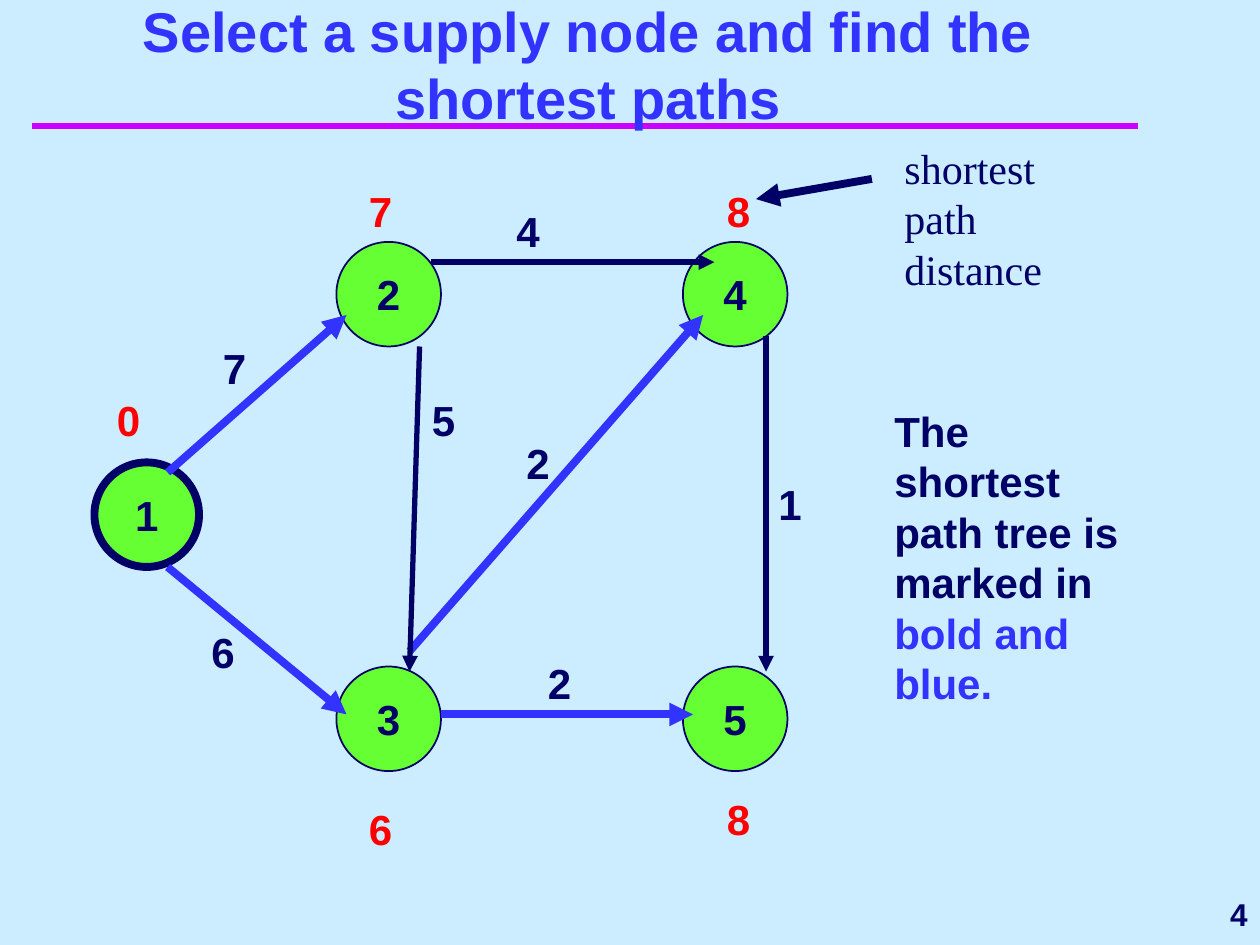
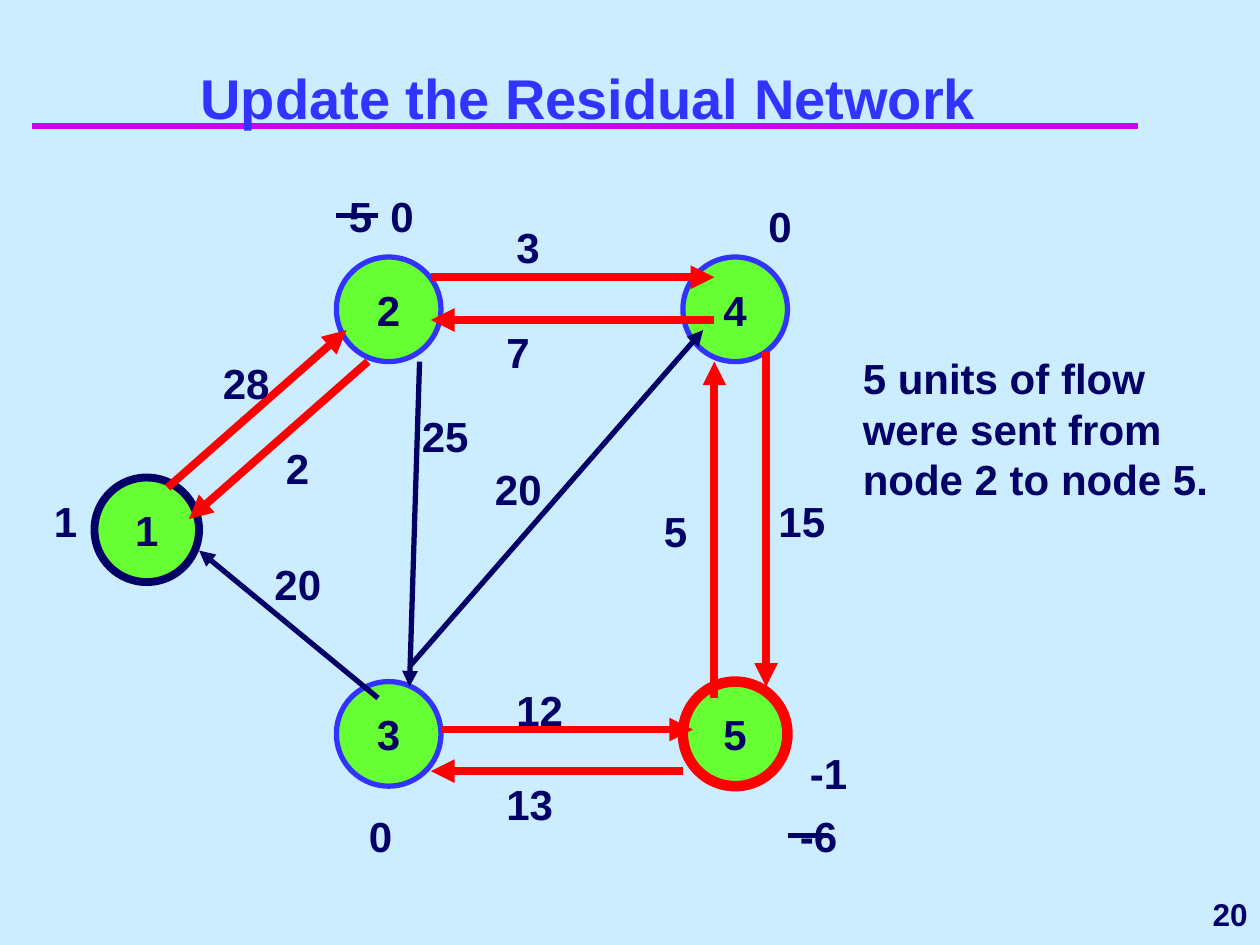
"""Build two slides on shortest paths and residual networks."""
from dataclasses import dataclass

from lxml import etree
from pptx import Presentation
from pptx.dml.color import RGBColor
from pptx.enum.shapes import MSO_CONNECTOR, MSO_SHAPE
from pptx.enum.text import MSO_ANCHOR, MSO_AUTO_SIZE, PP_ALIGN
from pptx.oxml.ns import qn
from pptx.util import Inches, Pt


@dataclass(frozen=True)
class Theme:
    sky: str = "CCECFF"
    navy: str = "000066"
    blue: str = "3333FF"
    red: str = "FF0000"
    green: str = "66FF33"
    magenta: str = "CC00FF"
    sans: str = "Arial"
    serif: str = "Times New Roman"
    title: float = 32
    body: float = 24
    number: float = 18
    thin: float = 1
    medium: float = 3
    rule: float = 4
    bold: float = 4.5
    heavy: float = 6


T = Theme()
NODE_SIZE = 0.83
NODES = {1: (0.75, 3.67), 2: (2.67, 1.92), 3: (2.67, 5.29),
         5: (5.42, 5.29), 4: (5.42, 1.92)}
ARCS = {
    (1, 2): (1.33, 3.75, 2.75, 2.5),
    (2, 4): (3.42, 2.08, 5.67, 2.08),
    (4, 5): (6.08, 2.67, 6.08, 5.33),
    (3, 4): (3.25, 5.17, 5.58, 2.5),
    (1, 3): (1.33, 4.5, 2.75, 5.67),
    (3, 5): (3.5, 5.67, 5.5, 5.67),
    (2, 3): (3.33, 2.75, 3.25, 5.33),
    (3, 1): (3, 5.42, 1.58, 4.25),
    (5, 3): (5.42, 6, 3.42, 6),
    (2, 1): (2.92, 2.75, 1.5, 4),
    (4, 2): (5.67, 2.42, 3.42, 2.42),
    (5, 4): (5.67, 5.42, 5.67, 2.75),
}


def rgb(color):
    return RGBColor.from_string(color)


class Deck:
    def __init__(self):
        self.prs = Presentation()
        self.prs.slide_width, self.prs.slide_height = Inches(10), Inches(7.5)
        fill = self.prs.slide_master.background.fill
        fill.solid()
        fill.fore_color.rgb = rgb(T.sky)
        self.s = None
        self.dy = 0

    def slide(self, title, number, dy=0):
        self.s = self.prs.slides.add_slide(self.prs.slide_layouts[6])
        self.dy = dy
        self.line(0.25, 1, 9.03, 1, T.magenta, T.rule)
        self.text(0.42, 0.67, 8.5, 0.42, [(title, T.blue)], T.title,
                  PP_ALIGN.CENTER, MSO_ANCHOR.BOTTOM)
        self.text(8.08, 7, 1.92, 0.5, [(number, T.navy)], T.number,
                  PP_ALIGN.RIGHT, MSO_ANCHOR.MIDDLE)

    def set_text(self, tf, runs, size, align, anchor, font=T.sans, bold=True):
        tf.vertical_anchor = anchor
        p = tf.paragraphs[0]
        p.alignment = align
        p.font.name, p.font.size, p.font.bold = font, Pt(size), bold
        p.font.color.rgb = rgb(runs[0][1])
        for text, color in runs:
            r = p.add_run()
            r.text = text
            if color != runs[0][1]:
                r.font.color.rgb = rgb(color)

    def text(self, x, y, w, h, runs, size=T.body, align=PP_ALIGN.LEFT,
             anchor=MSO_ANCHOR.TOP, **style):
        sp = self.s.shapes.add_textbox(Inches(x), Inches(y), Inches(w), Inches(h))
        tf = sp.text_frame
        tf.word_wrap = True
        if size == T.body:
            tf.auto_size = MSO_AUTO_SIZE.SHAPE_TO_FIT_TEXT
        self.set_text(tf, runs, size, align, anchor, **style)

    def labels(self, items, color=T.navy):
        for text, x, y in items:
            self.text(x, y, 0.42 if len(text) == 1 else 0.75, 0.5, [(text, color)])

    def node(self, key, color, width):
        x, y = NODES[key]
        sp = self.s.shapes.add_shape(MSO_SHAPE.OVAL, Inches(x), Inches(y + self.dy),
                                     Inches(NODE_SIZE), Inches(NODE_SIZE))
        sp.shadow.inherit = False
        sp.fill.solid()
        sp.fill.fore_color.rgb = rgb(T.green)
        sp.line.color.rgb = rgb(color)
        sp.line.width = Pt(width)
        sp.text_frame.word_wrap = False
        self.set_text(sp.text_frame, [(str(key), T.navy)], T.body,
                      PP_ALIGN.CENTER, MSO_ANCHOR.MIDDLE)

    def nodes(self, default, special):
        for key in NODES:
            self.node(key, *special.get(key, default))

    def line(self, x1, y1, x2, y2, color, width, arrow=False):
        sp = self.s.shapes.add_connector(MSO_CONNECTOR.STRAIGHT, Inches(x1), Inches(y1),
                                         Inches(x2), Inches(y2))
        sp.line.color.rgb = rgb(color)
        sp.line.width = Pt(width)
        props = sp.element.spPr
        if arrow:
            etree.SubElement(props.find(qn("a:ln")), qn("a:tailEnd"), type="triangle")
        etree.SubElement(props, qn("a:effectLst"))

    def arcs(self, keys, marked, color):
        for key in keys:
            x1, y1, x2, y2 = ARCS[key]
            style = (color, T.bold) if key in marked else (T.navy, T.medium)
            self.line(x1, y1 + self.dy, x2, y2 + self.dy, *style, arrow=True)


def shortest_paths(deck):
    deck.slide("Select a supply node and find the shortest paths", "4")
    deck.nodes((T.navy, T.thin), {1: (T.navy, T.bold)})
    tree = {(1, 2), (1, 3), (3, 4), (3, 5)}
    deck.arcs(list(ARCS)[:7], tree, T.blue)
    deck.labels([("4", 4, 1.58), ("1", 6.08, 3.75), ("2", 4.08, 3.42), ("2", 4.25, 5.17),
                 ("5", 3.33, 3.08), ("6", 1.58, 4.92), ("7", 1.67, 2.67)])
    distances = [("7", 2.83, 1.42), ("0", 0.83, 3.08), ("6", 2.83, 6.33),
                 ("8", 5.67, 6.25), ("8", 5.67, 1.42)]
    deck.labels(distances, T.red)
    deck.text(7.08, 1.08, 1.5, 1.3, [("shortest path distance", T.navy)],
              font=T.serif, bold=False)
    deck.line(6.92, 1.42, 6, 1.58, T.navy, T.bold, arrow=True)
    deck.text(7, 3.17, 2.17, 2.5, [("The shortest path tree is marked in ", T.navy),
                                   ("bold and blue.", T.blue)])


def residual_network(deck):
    deck.slide("Update the Residual Network", "20", dy=0.12)
    deck.nodes((T.blue, T.medium), {1: (T.navy, T.bold), 5: (T.red, T.heavy)})
    residual = [key for key in ARCS if key != (1, 3)]
    deck.arcs(residual, set(residual) - {(3, 4), (2, 3), (3, 1)}, T.red)
    capacities = [("3", 4, 1.71), ("15", 6.08, 3.88), ("20", 3.83, 3.63), ("12", 4, 5.38),
                  ("25", 3.25, 3.21), ("28", 1.67, 2.79), ("20", 2.08, 4.38),
                  ("13", 3.92, 6.13), ("2", 2.17, 3.46), ("7", 3.92, 2.54),
                  ("5", 5.17, 3.96)]
    supplies = [("5", 2.67, 1.46), ("0", 3, 1.46), ("0", 6, 1.54), ("1", 0.33, 3.88),
                ("0", 2.83, 6.38), ("-6", 6.25, 6.38), ("-1", 6.33, 5.88)]
    deck.labels(capacities + supplies)
    for x, y in [(2.67, 1.71), (6.25, 6.63)]:
        deck.line(x, y, x + 0.33, y, T.navy, T.medium)
    deck.text(6.75, 2.75, 3, 1.3,
              [("5 units of flow were sent from node 2 to node 5.", T.navy)])


def main():
    deck = Deck()
    shortest_paths(deck)
    residual_network(deck)
    deck.prs.save("out.pptx")


if __name__ == "__main__":
    main()
